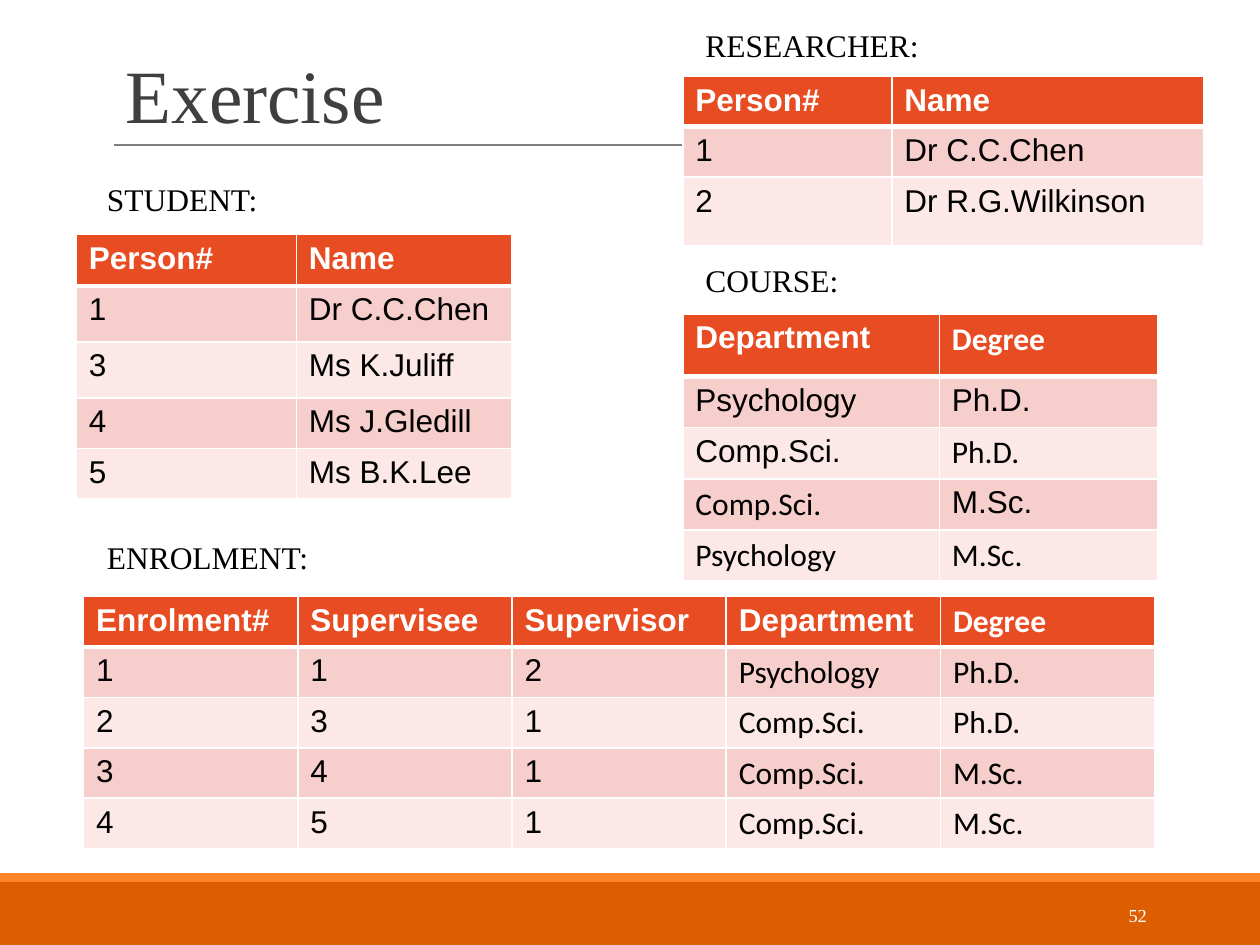
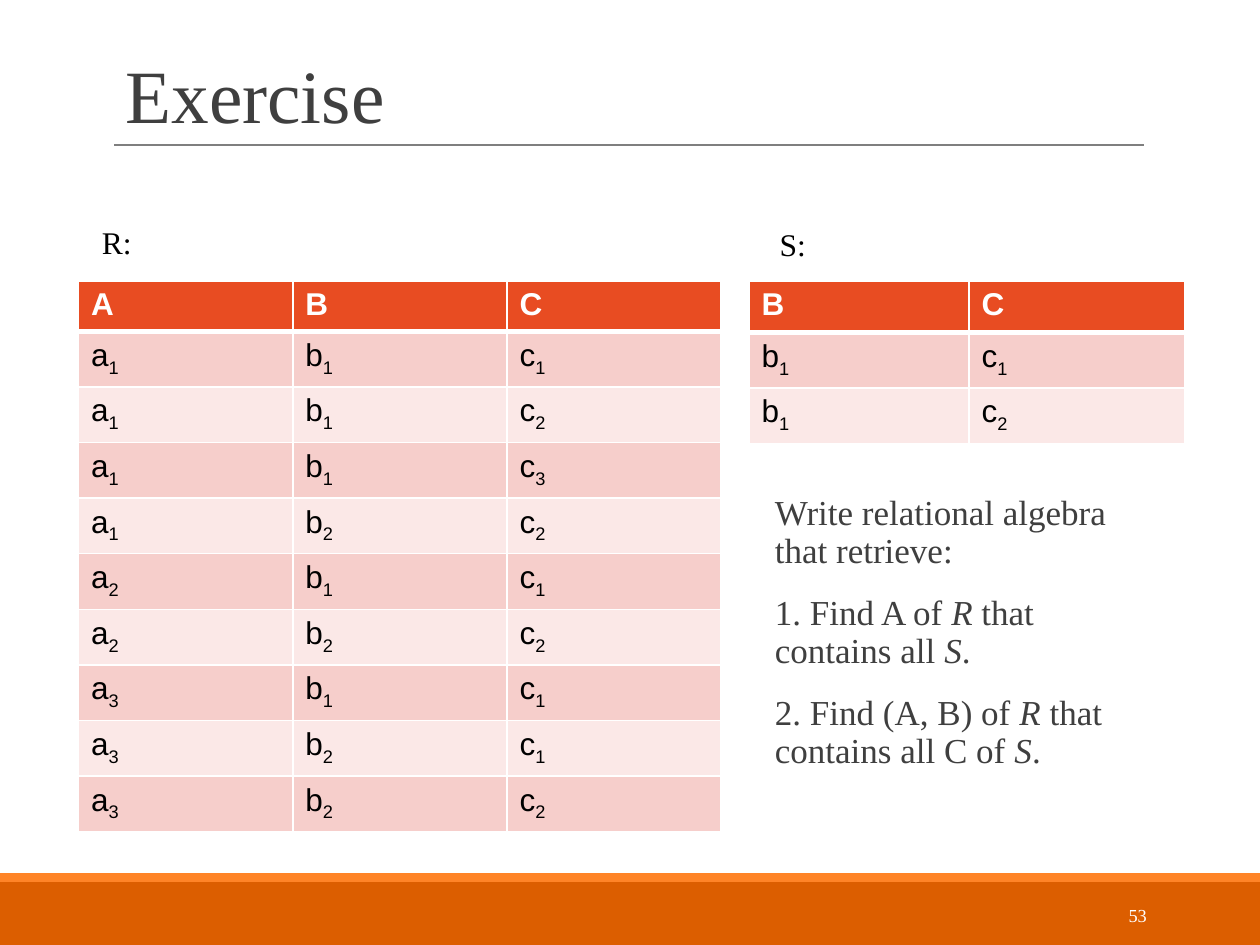
from lxml import etree
from pptx import Presentation
from pptx.dml.color import RGBColor
from pptx.enum.shapes import MSO_CONNECTOR, MSO_SHAPE
from pptx.enum.text import MSO_ANCHOR, PP_ALIGN
from pptx.oxml.ns import qn
from pptx.util import Pt

RECTANGLE = MSO_SHAPE.RECTANGLE
STRAIGHT = MSO_CONNECTOR.STRAIGHT
TOP, MIDDLE, BOTTOM = MSO_ANCHOR.TOP, MSO_ANCHOR.MIDDLE, MSO_ANCHOR.BOTTOM
LEFT, RIGHT = PP_ALIGN.LEFT, PP_ALIGN.RIGHT

SLIDE_WIDTH, SLIDE_HEIGHT = 720, 540
SERIF, SANS, ALTERNATE = "Times New Roman", "Arial", "Calibri"
COLORS = {
    "band": "DC5E00",
    "band_edge": "FF8427",
    "rule": "7F7F7F",
    "heading": "3F3F3F",
    "text": "000000",
    "white": "FFFFFF",
    "header": "E84C22",
    "odd_row": "F6CECB",
    "even_row": "FBE8E7",
}


def rgb(name):
    return RGBColor.from_string(COLORS[name])


def style_font(paragraph, size, color, face=SERIF, bold=False):
    font = paragraph.font
    font.size, font.name, font.bold = Pt(size), face, bold
    font.color.rgb = rgb(color)


def add_text(slide, box, text, size, color, anchor=TOP, align=LEFT):
    label = slide.shapes.add_textbox(*map(Pt, box))
    frame = label.text_frame
    frame.word_wrap = True
    frame.vertical_anchor = anchor
    paragraph = frame.paragraphs[0]
    paragraph.text = text
    paragraph.alignment = align
    style_font(paragraph, size, color)
    return paragraph


def add_band(slide, box, color):
    band = slide.shapes.add_shape(RECTANGLE, *map(Pt, box))
    band.shadow.inherit = False
    band.fill.solid()
    band.fill.fore_color.rgb = rgb(color)
    band.line.fill.background()


def add_frame(slide, title, number):
    """Title, rule, footer bands and slide number."""
    add_band(slide, (0, 504, SLIDE_WIDTH, 36), "band")
    add_band(slide, (0, 499, SLIDE_WIDTH, 5), "band_edge")

    rule = slide.shapes.add_connector(STRAIGHT, Pt(65.2), Pt(82.8), Pt(653.8), Pt(82.8))
    rule.line.color.rgb = rgb("rule")
    rule.line.width = Pt(0.75)
    etree.SubElement(rule._element.spPr, qn("a:effectLst"))

    heading = add_text(slide, (64.8, 22.3, 594, 60.5), title, 43, "heading", BOTTOM)
    heading.line_spacing = 0.85
    add_text(slide, (584.6, 508.3, 77.8, 28.8), str(number), 10.5, "white", MIDDLE, RIGHT)


def add_cell_borders(cell, bottom_width):
    properties = cell._tc.get_or_add_tcPr()
    for side, width in (("L", 1), ("R", 1), ("T", 1), ("B", bottom_width)):
        border = etree.SubElement(properties, qn(f"a:ln{side}"), w=str(Pt(width)))
        fill = etree.SubElement(border, qn("a:solidFill"))
        etree.SubElement(fill, qn("a:srgbClr"), val=COLORS["white"])


def write_subscripted(paragraph, text):
    letter, index = text
    paragraph.add_run().text = letter
    subscript = paragraph.add_run()
    subscript.text = index
    subscript._r.get_or_add_rPr().set("baseline", "-25000")


def add_relation(slide, name, name_at, table_at, widths, heights, rows,
                 alternate_cells=(), subscripts=False):
    """A relation's name above its table; alternate_cells use the second typeface."""
    table = slide.shapes.add_table(
        len(rows), len(widths), *map(Pt, (*table_at, sum(widths), sum(heights)))).table
    for column, width in zip(table.columns, widths):
        column.width = Pt(width)
    for r, (values, height) in enumerate(zip(rows, heights)):
        table.rows[r].height = Pt(height)
        is_header = r == 0
        fill = "header" if is_header else "odd_row" if r % 2 else "even_row"
        for c, value in enumerate(values):
            cell = table.cell(r, c)
            add_cell_borders(cell, 3 if is_header else 1)
            cell.fill.solid()
            cell.fill.fore_color.rgb = rgb(fill)
            paragraph = cell.text_frame.paragraphs[0]
            if subscripts and not is_header:
                write_subscripted(paragraph, value)
            else:
                paragraph.text = value
            style_font(paragraph, 18, "white" if is_header else "text",
                       ALTERNATE if (r, c) in alternate_cells else SANS, is_header)
    add_text(slide, (*name_at, 216, 28.8), name, 18, "text")


def add_questions(slide, box, questions):
    """Each question is a list of parts; every second part is italic."""
    frame = slide.shapes.add_textbox(*map(Pt, box)).text_frame
    frame.word_wrap = True
    frame.margin_left = Pt(14.4)
    frame.margin_top = frame.margin_bottom = Pt(7.2)
    for i, parts in enumerate(questions):
        paragraph = frame.add_paragraph() if i else frame.paragraphs[0]
        paragraph.line_spacing = 0.9
        if i:
            paragraph.space_before = Pt(14)
        style_font(paragraph, 20, "heading")
        for k, part in enumerate(parts):
            run = paragraph.add_run()
            run.text = part
            if k % 2:
                run.font.italic = True


def build_university_slide(slide):
    add_frame(slide, "Exercise", 52)
    add_relation(
        slide, "RESEARCHER:", (396, 11.5), (390.2, 43.6), (119.4, 178.4), (27, 27, 39),
        [("Person#", "Name"), ("1", "Dr C.C.Chen"), ("2", "Dr R.G.Wilkinson")])
    add_relation(
        slide, "STUDENT:", (54, 99.4), (43.6, 134), (125.8, 123), (29.5, 32, 32, 28.8, 28.8),
        [("Person#", "Name"), ("1", "Dr C.C.Chen"), ("3", "Ms K.Juliff"),
         ("4", "Ms J.Gledill"), ("5", "Ms B.K.Lee")])
    add_relation(
        slide, "COURSE:", (396, 145.4), (390.2, 179.3), (146.6, 125), (36, 29, 29.5, 29, 29),
        [("Department", "Degree"), ("Psychology", "Ph.D."), ("Comp.Sci.", "Ph.D."),
         ("Comp.Sci.", "M.Sc."), ("Psychology", "M.Sc.")],
        alternate_cells={(0, 1), (2, 1), (3, 0), (4, 0), (4, 1)})
    enrolments = [
        ("Enrolment#", "Supervisee", "Supervisor", "Department", "Degree"),
        ("1", "1", "2", "Psychology", "Ph.D."),
        ("2", "3", "1", "Comp.Sci.", "Ph.D."),
        ("3", "4", "1", "Comp.Sci.", "M.Sc."),
        ("4", "5", "1", "Comp.Sci.", "M.Sc."),
    ]
    course_cells = {(0, 4)} | {(r, c) for r in range(1, 5) for c in (3, 4)}
    add_relation(slide, "ENROLMENT:", (54, 303.8), (47.8, 340.8), [122.4] * 5, [28.7] * 5,
                 enrolments, alternate_cells=course_cells)


def build_algebra_slide(slide):
    add_frame(slide, "Exercise", 53)
    add_relation(
        slide, "S:", (438.5, 125.3), (428, 160.5), (125.8, 123), (29.5, 31.8, 31.8),
        [("B", "C"), ("b1", "c1"), ("b1", "c2")], subscripts=True)
    tuples = ("a1 b1 c1", "a1 b1 c2", "a1 b1 c3", "a1 b2 c2", "a2 b1 c1",
              "a2 b2 c2", "a3 b1 c1", "a3 b2 c1", "a3 b2 c2")
    add_relation(
        slide, "R:", (51.1, 123.8), (44.9, 160.5), [122.4] * 3, [28.7] + [31.8] * 9,
        [("A", "B", "C")] + [row.split() for row in tuples], subscripts=True)
    add_questions(slide, (428.4, 275.8, 236.2, 173.5), [
        ["Write relational algebra that retrieve:"],
        ["1. Find A of ", "R", " that contains all ", "S", "."],
        ["2. Find (A, B) of ", "R", " that contains all C of ", "S", "."],
    ])


def main():
    deck = Presentation()
    deck.slide_width, deck.slide_height = Pt(SLIDE_WIDTH), Pt(SLIDE_HEIGHT)
    blank = deck.slide_layouts[6]
    for build in (build_university_slide, build_algebra_slide):
        build(deck.slides.add_slide(blank))
    deck.save("out.pptx")


if __name__ == "__main__":
    main()
